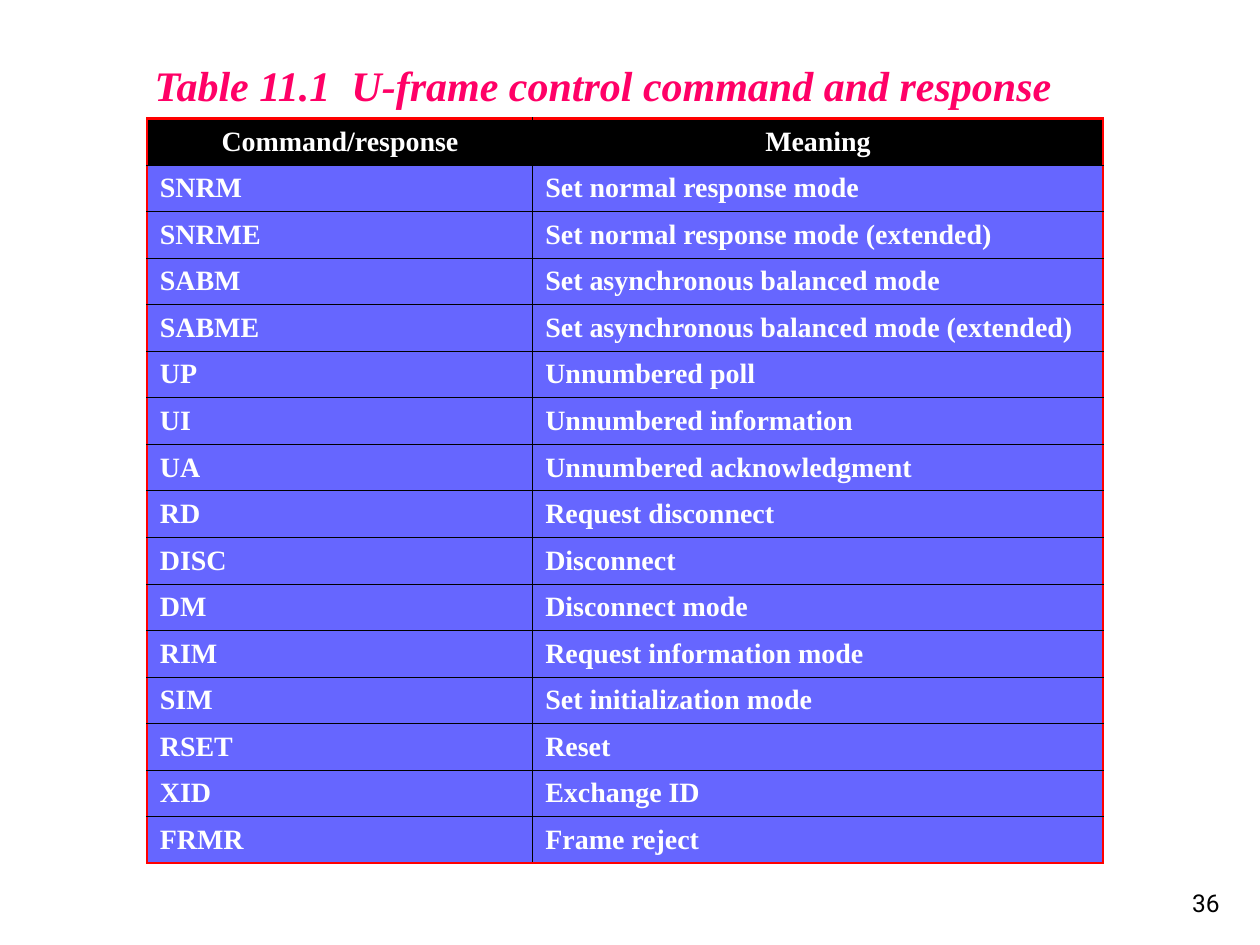
from dataclasses import dataclass

from lxml import etree
from pptx import Presentation
from pptx.dml.color import RGBColor
from pptx.enum.text import MSO_ANCHOR, PP_ALIGN
from pptx.oxml.ns import qn
from pptx.util import Cm, Pt

LEFT, CENTER, RIGHT = PP_ALIGN.LEFT, PP_ALIGN.CENTER, PP_ALIGN.RIGHT
TOP, MIDDLE, BOTTOM = MSO_ANCHOR.TOP, MSO_ANCHOR.MIDDLE, MSO_ANCHOR.BOTTOM


@dataclass(frozen=True)
class Theme:
    title: str = "FF0066"
    header: str = "000000"
    body: str = "6666FF"
    light: str = "FFFFFF"
    dark: str = "000000"
    frame: str = "FF0000"
    serif: str = "Times New Roman"
    sans: str = "Roboto"
    title_size: float = 24
    cell_size: float = 16
    number_size: float = 14
    frame_width: float = 1.47
    grid_width: float = 0.45


THEME = Theme()

HEADERS = ("Command/response", "Meaning")
COMMANDS = (
    ("SNRM", "Set normal response mode"),
    ("SNRME", "Set normal response mode (extended)"),
    ("SABM", "Set asynchronous balanced mode"),
    ("SABME", "Set asynchronous balanced mode (extended)"),
    ("UP", "Unnumbered poll"),
    ("UI", "Unnumbered information"),
    ("UA", "Unnumbered acknowledgment"),
    ("RD", "Request disconnect"),
    ("DISC", "Disconnect"),
    ("DM", "Disconnect mode"),
    ("RIM", "Request information mode"),
    ("SIM", "Set initialization mode"),
    ("RSET", "Reset"),
    ("XID", "Exchange ID"),
    ("FRMR", "Frame reject"),
)


def write_text(text_frame, text, color, alignment, **font_values):
    paragraph = text_frame.paragraphs[0]
    paragraph.alignment = alignment
    run = paragraph.add_run()
    run.text = text
    for name, value in font_values.items():
        setattr(run.font, name, value)
    run.font.color.rgb = RGBColor.from_string(color)


def add_label(slide, box, text, color, alignment, anchor, wrap, **font_values):
    text_frame = slide.shapes.add_textbox(*box).text_frame
    text_frame.word_wrap = wrap
    text_frame.vertical_anchor = anchor
    write_text(text_frame, text, color, alignment, **font_values)


def set_borders(cell, outer_sides):
    """Draw the frame line on the outer sides and the thin grid line elsewhere."""
    properties = cell._tc.get_or_add_tcPr()
    for position, side in enumerate("LRTB"):
        outer = side in outer_sides
        color = THEME.frame if outer else THEME.dark
        width = Pt(THEME.frame_width if outer else THEME.grid_width)
        line = etree.Element(qn(f"a:ln{side}"), w=str(width))
        fill = etree.SubElement(line, qn("a:solidFill"))
        etree.SubElement(fill, qn("a:srgbClr"), val=color)
        properties.insert(position, line)


def add_command_table(slide, box, first_column_width):
    left, top, width, height = box
    rows = (HEADERS,) + COMMANDS
    last_row, last_column = len(rows) - 1, len(HEADERS) - 1
    table = slide.shapes.add_table(
        len(rows), len(HEADERS), left, top, width, height).table
    table.columns[0].width = first_column_width
    table.columns[1].width = width - first_column_width
    for row_index, row in enumerate(rows):
        table.rows[row_index].height = height // len(rows)
        is_header = row_index == 0
        for column_index, text in enumerate(row):
            cell = table.cell(row_index, column_index)
            cell.vertical_anchor = MIDDLE
            cell.fill.solid()
            cell.fill.fore_color.rgb = RGBColor.from_string(
                THEME.header if is_header else THEME.body)
            write_text(cell.text_frame, text, THEME.light,
                       CENTER if is_header else LEFT,
                       name=THEME.serif, size=Pt(THEME.cell_size), bold=True)
            edges = {"L": column_index == 0, "R": column_index == last_column,
                     "T": is_header, "B": row_index == last_row}
            set_borders(cell, [side for side, outer in edges.items() if outer])


def build_table_slide(presentation):
    slide = presentation.slides.add_slide(presentation.slide_layouts[6])
    add_label(slide, (Cm(2.87), Cm(1.07), Cm(18.69), Cm(1.27)),
              "Table 11.1  U-frame control command and response",
              THEME.title, LEFT, TOP, False, name=THEME.serif,
              size=Pt(THEME.title_size), bold=True, italic=True)
    add_command_table(slide, (Cm(2.97), Cm(2.39), Cm(19.27), Cm(15.02)), Cm(7.77))
    add_label(slide, (Cm(19.56), Cm(17.35), Cm(5.28), Cm(1.27)), "36",
              THEME.dark, RIGHT, BOTTOM, True,
              name=THEME.sans, size=Pt(THEME.number_size))


def main():
    presentation = Presentation()
    presentation.slide_width = Cm(25.4)
    presentation.slide_height = Cm(19.05)
    build_table_slide(presentation)
    presentation.save("out.pptx")


if __name__ == "__main__":
    main()
